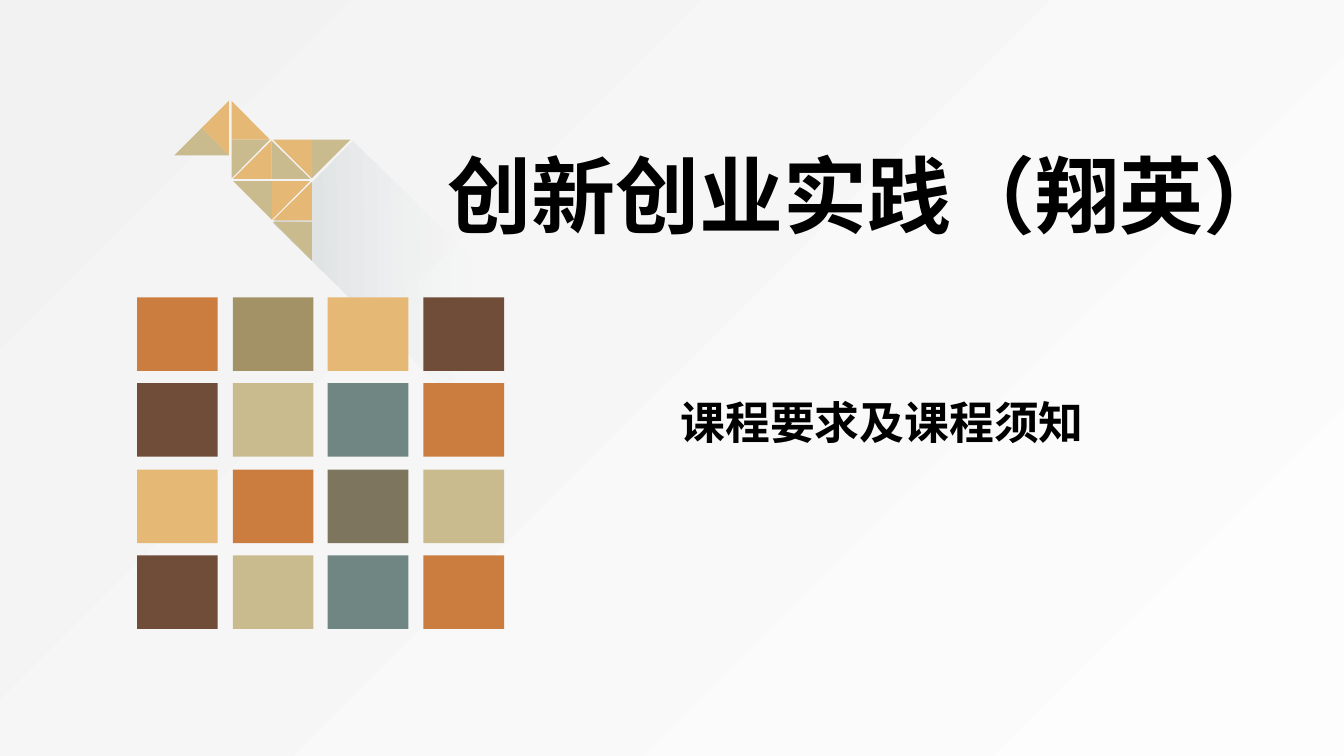
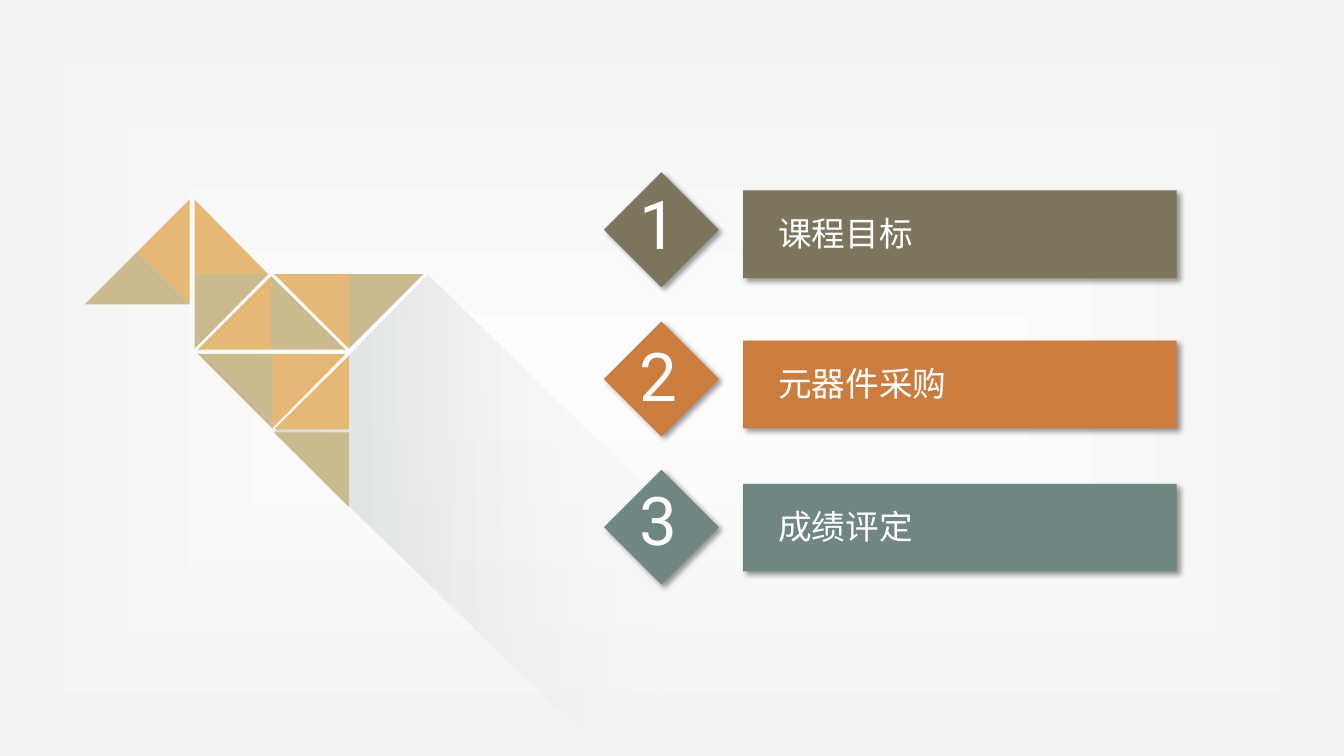
from dataclasses import dataclass

from pptx import Presentation
from pptx.dml.color import RGBColor
from pptx.enum.shapes import MSO_SHAPE
from pptx.enum.text import MSO_AUTO_SIZE
from pptx.oxml import parse_xml
from pptx.oxml.ns import nsdecls, qn
from pptx.shapes.autoshape import Shape
from pptx.slide import Slide
from pptx.util import Emu, Pt

PX = 9144  # EMU per px, 100 px to the inch
SLIDE_W, SLIDE_H = 1333, 750

RECT = MSO_SHAPE.RECTANGLE
DIAMOND = MSO_SHAPE.DIAMOND
GROW = MSO_AUTO_SIZE.SHAPE_TO_FIT_TEXT

BLACK = RGBColor(0x00, 0x00, 0x00)
WHITE = RGBColor(0xFF, 0xFF, 0xFF)
PAPER = RGBColor(0xFD, 0xFD, 0xFD)
MIST = RGBColor(0xF2, 0xF2, 0xF2)
SHADE = RGBColor(0xD7, 0xDB, 0xDC)
ORANGE = RGBColor(0xCB, 0x7D, 0x40)
OLIVE = RGBColor(0xA2, 0x92, 0x66)
AMBER = RGBColor(0xE6, 0xB8, 0x75)
BROWN = RGBColor(0x6F, 0x4D, 0x39)
SAND = RGBColor(0xCA, 0xBB, 0x8F)
TEAL = RGBColor(0x6F, 0x86, 0x83)
TAUPE = RGBColor(0x7D, 0x75, 0x5D)

TITLE_FONT, NUMBER_FONT, CJK_FONT = "Calibri", "Roboto", "Noto Sans CJK SC"


@dataclass(frozen=True)
class Box:
    x: int
    y: int
    w: int
    h: int

    def emu(self) -> tuple[Emu, ...]:
        return tuple(Emu(v * PX) for v in (self.x, self.y, self.w, self.h))


@dataclass(frozen=True)
class Style:
    font: str
    size: int
    color: RGBColor
    bold: bool = False


@dataclass(frozen=True)
class Triangle:
    points: tuple[tuple[int, int], ...]
    color: RGBColor


@dataclass(frozen=True)
class Entry:
    number: str
    label: str
    color: RGBColor
    diamond_y: int
    number_y: int
    bar_y: int


TITLE = Style(TITLE_FONT, 60, BLACK, True)
SUBTITLE = Style(TITLE_FONT, 32, BLACK, True)
NUMBER = Style(NUMBER_FONT, 48, WHITE)
LABEL = Style(CJK_FONT, 24, WHITE)

# Bird at full size
BIRD_X, BIRD_Y = 84, 198
BIRD_SHADOW = Box(283, 401, 456, 219)
BIRD = (
    Triangle(((188, 198), (136, 250), (188, 302)), AMBER),
    Triangle(((188, 302), (136, 250), (84, 302)), SAND),
    Triangle(((193, 198), (193, 272), (266, 272)), AMBER),
    Triangle(((266, 272), (193, 272), (193, 346)), SAND),
    Triangle(((196, 347), (269, 347), (269, 274)), AMBER),
    Triangle(((269, 274), (269, 347), (343, 347)), SAND),
    Triangle(((343, 351), (270, 351), (270, 425)), AMBER),
    Triangle(((270, 425), (270, 351), (196, 351)), SAND),
    Triangle(((420, 272), (346, 272), (346, 346)), SAND),
    Triangle(((346, 346), (346, 272), (272, 272)), AMBER),
    Triangle(((346, 503), (346, 429), (272, 429)), SAND),
    Triangle(((272, 426), (346, 426), (346, 353)), AMBER),
)

TILES = (
    (ORANGE, OLIVE, AMBER, BROWN),
    (BROWN, SAND, TEAL, ORANGE),
    (AMBER, ORANGE, TAUPE, SAND),
    (BROWN, SAND, TEAL, ORANGE),
)

ENTRIES = (
    Entry("1", "课程目标", TAUPE, 171, 176, 189),
    Entry("2", "元器件采购", ORANGE, 319, 327, 338),
    Entry("3", "成绩评定", TEAL, 466, 470, 480),
)


def set_gradient(owner: Slide | Shape, fill, end: RGBColor) -> object:
    """Fill from PAPER to end and return the gradient element."""
    fill.gradient()
    for stop, color in zip(fill.gradient_stops, (PAPER, end)):
        stop.color.rgb = color
    return owner.element.find(".//" + qn("a:gradFill"))


def set_background(s: Slide, shape: str, l: int, t: int, r: int, b: int) -> None:
    grad = set_gradient(s, s.background.fill, MIST)
    focus = parse_xml(
        f'<a:path {nsdecls("a")} path="{shape}"><a:fillToRect l="{l}000" '
        f't="{t}000" r="{r}000" b="{b}000"/></a:path>')
    grad.replace(grad.find(qn("a:lin")), focus)


def paint(sp: Shape, color: RGBColor) -> None:
    sp.shadow.inherit = False
    sp.line.fill.background()
    sp.fill.solid()
    sp.fill.fore_color.rgb = color


def add_block(s: Slide, kind: MSO_SHAPE, box: Box, color: RGBColor) -> Shape:
    sp = s.shapes.add_shape(kind, *box.emu())
    paint(sp, color)
    return sp


def drop_shadow(sp: Shape) -> None:
    sp.element.spPr.find(qn("a:effectLst")).append(parse_xml(
        f'<a:outerShdw {nsdecls("a")} blurRad="{Pt(4)}" dist="{Pt(3)}" '
        'dir="2700000" algn="tl" rotWithShape="0"><a:srgbClr val="000000">'
        '<a:alpha val="40000"/></a:srgbClr></a:outerShdw>'))


def add_text(s: Slide, box: Box, text: str, style: Style) -> None:
    tf = s.shapes.add_textbox(*box.emu()).text_frame
    tf.word_wrap = False
    tf.auto_size = GROW
    r = tf.paragraphs[0].add_run()
    r.text = text
    r.font.name = style.font
    r.font.size = Pt(style.size)
    r.font.bold = style.bold
    r.font.color.rgb = style.color
    r.font._element.find(qn("a:latin")).addnext(
        parse_xml(f'<a:ea {nsdecls("a")} typeface="{CJK_FONT}"/>'))


def add_bird(s: Slide, left: int, top: int, scale: float) -> None:
    def place(x: float, y: float) -> tuple[int, int]:
        return (round((left + (x - BIRD_X) * scale) * PX),
                round((top + (y - BIRD_Y) * scale) * PX))

    # Long fading shadow
    b = BIRD_SHADOW
    size = (round(b.w * scale * PX), round(b.h * scale * PX))
    cx, cy = place(b.x + b.w / 2, b.y + b.h / 2)
    sp = s.shapes.add_shape(RECT, cx - size[0] // 2, cy - size[1] // 2, *size)
    paint(sp, SHADE)
    sp.rotation = 44.3
    grad = set_gradient(sp, sp.fill, SHADE)
    sp.fill.gradient_angle = 225
    grad.find(".//" + qn("a:srgbClr")).append(
        parse_xml(f'<a:alpha {nsdecls("a")} val="6000"/>'))

    # Folded body
    for tri in BIRD:
        start, *rest = (place(x, y) for x, y in tri.points)
        builder = s.shapes.build_freeform(*start)
        builder.add_line_segments(rest, close=True)
        paint(builder.convert_to_shape(), tri.color)


def build_cover(s: Slide) -> None:
    set_background(s, "circle", 100, 100, 0, 0)
    add_bird(s, 173, 100, 0.52)
    for row, colors in enumerate(TILES):
        for col, color in enumerate(colors):
            box = Box(136 + round(col * 284 / 3), 295 + round(row * 256 / 3), 80, 73)
            add_block(s, RECT, box, color)
    add_text(s, Box(434, 137, 865, 111), "创新创业实践（翔英）", TITLE)
    add_text(s, Box(665, 387, 426, 64), "课程要求及课程须知", SUBTITLE)


def build_contents(s: Slide) -> None:
    set_background(s, "shape", 50, 50, 50, 50)
    add_bird(s, BIRD_X, BIRD_Y, 1)
    for e in ENTRIES:
        drop_shadow(add_block(s, DIAMOND, Box(599, e.diamond_y, 114, 114), e.color))
        add_text(s, Box(624, e.number_y, 64, 91), e.number, NUMBER)
        drop_shadow(add_block(s, RECT, Box(737, e.bar_y, 430, 87), e.color))
        label_w = 22 + 33 * len(e.label)
        add_text(s, Box(762, e.bar_y + 17, label_w, 50), e.label, LABEL)


def main() -> None:
    prs = Presentation()
    prs.slide_width, prs.slide_height = Emu(SLIDE_W * PX), Emu(SLIDE_H * PX)
    blank = prs.slide_layouts[6]
    for build in (build_cover, build_contents):
        build(prs.slides.add_slide(blank))
    prs.save("out.pptx")


if __name__ == "__main__":
    main()
